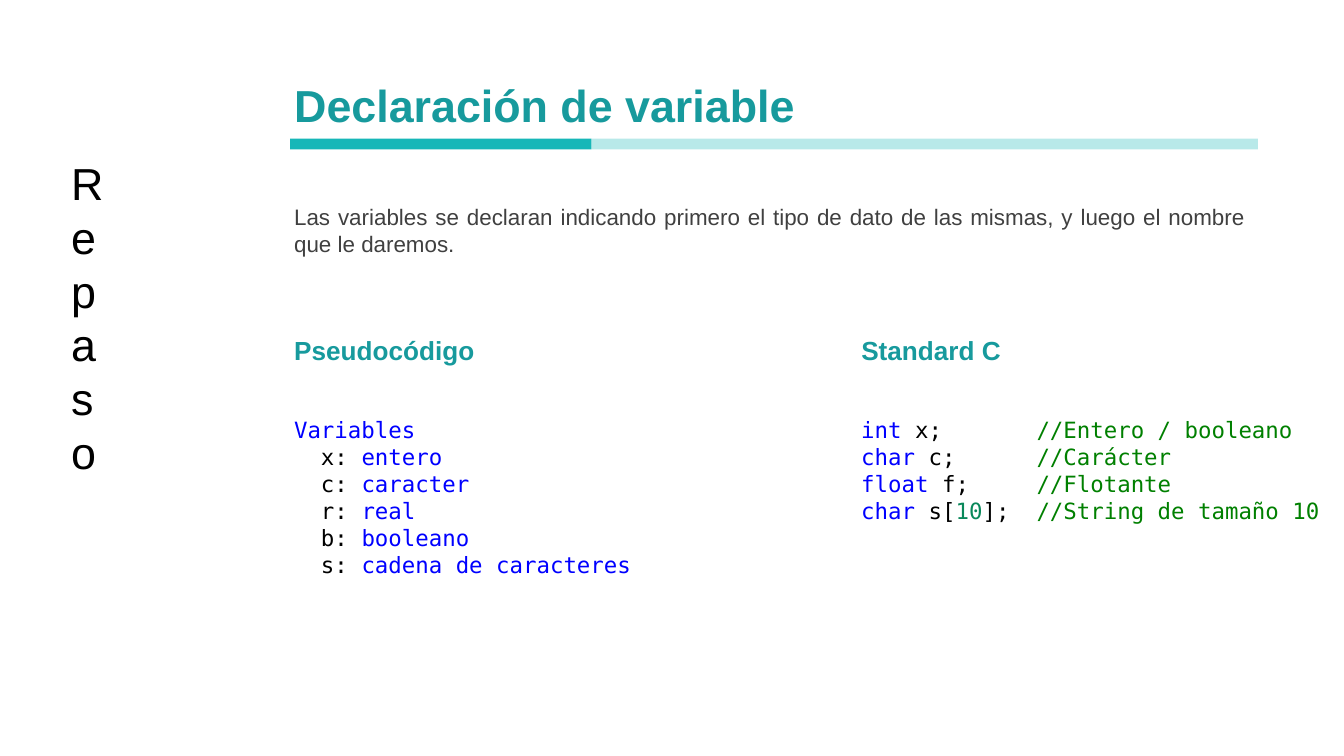
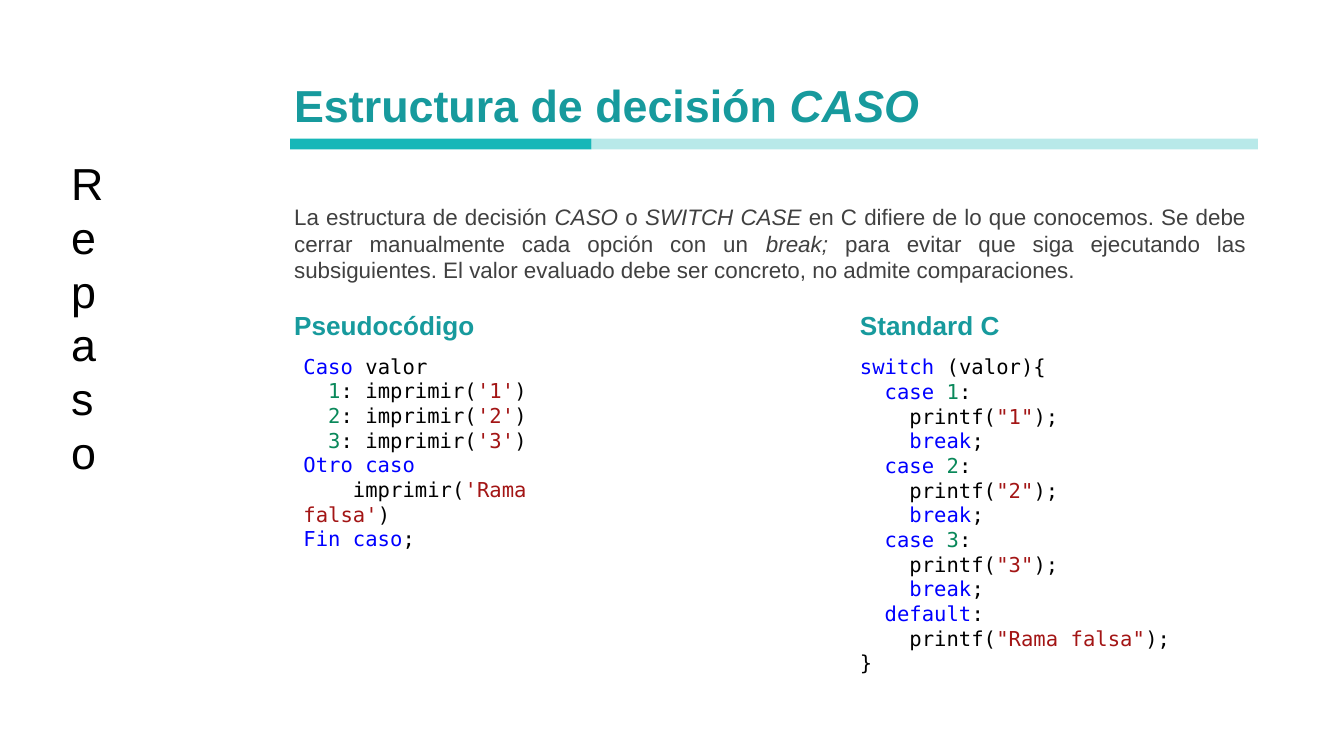
import pptx
import pptx.dml.color
import pptx.enum.shapes
import pptx.enum.text
import pptx.oxml
import pptx.oxml.ns
import pptx.util
from pptx.util import Pt

RGBColor = pptx.dml.color.RGBColor
TEAL = RGBColor(0x17, 0x9A, 0x9D)
BAND = RGBColor(0x16, 0xB7, 0xB8)
BODY = RGBColor(0x40, 0x40, 0x40)
BLACK = RGBColor(0, 0, 0)
WHITE = RGBColor(0xFF, 0xFF, 0xFF)
KEYWORD = RGBColor(0, 0, 0xFF)
COMMENT = RGBColor(0, 0x80, 0)
NUMBER = RGBColor(0x09, 0x88, 0x5A)
STRING = RGBColor(0xA3, 0x15, 0x15)

SANS = "Arial"
MONO = "DejaVu Sans Mono"
LEFT = 150.5
BAND_LEFT = 155.5
CONTENT_WIDTH = 524.2
COLUMN_WIDTH = 238.3


def italic(text):
    return text, {"italic": True}


def keyword(text):
    return text, {"color": KEYWORD}


def number(text):
    return text, {"color": NUMBER}


def string(text):
    return text, {"color": STRING}


def comment(text):
    return text, {"color": COMMENT}


def add_text(slide, lines, left, top, width, height, *, size, color=BLACK,
             font=SANS, bold=False, align=None, direction=None):
    """Each line is a list of spans: a plain string, or (string, format)."""
    box = slide.shapes.add_textbox(Pt(left), Pt(top), Pt(width), Pt(height))
    frame = box.text_frame
    frame.word_wrap = True
    frame.auto_size = pptx.enum.text.MSO_AUTO_SIZE.SHAPE_TO_FIT_TEXT
    if direction:
        frame._txBody.bodyPr.set("vert", direction)
    for index, spans in enumerate(lines):
        paragraph = frame.add_paragraph() if index else frame.paragraphs[0]
        paragraph.alignment = align
        for span in spans:
            text, style = (span, {}) if isinstance(span, str) else span
            run = paragraph.add_run()
            run.text = text
            run.font.name = font
            run.font.size = Pt(size)
            run.font.bold = bold
            run.font.italic = style.get("italic", False)
            run.font.color.rgb = style.get("color", color)


def add_band(slide, left, width, opacity=100):
    band = slide.shapes.add_shape(
        pptx.enum.shapes.MSO_SHAPE.RECTANGLE,
        Pt(left), Pt(74.2), Pt(width), Pt(5.8))
    band.shadow.inherit = False
    band.line.fill.background()
    band.fill.solid()
    band.fill.fore_color.rgb = BAND
    if opacity < 100:
        tint = band._element.spPr.find(".//" + pptx.oxml.ns.qn("a:srgbClr"))
        alpha = pptx.oxml.parse_xml(
            f'<a:alpha {pptx.oxml.ns.nsdecls("a")} val="{opacity * 1000}"/>')
        tint.append(alpha)


def add_review_slide(deck, title, intro, intro_height):
    """Start a slide with the parts that all slides share."""
    slide = deck.slides.add_slide(deck.slide_layouts[6])
    slide.background.fill.solid()
    slide.background.fill.fore_color.rgb = WHITE
    add_text(slide, [intro], LEFT, 105.1, CONTENT_WIDTH, intro_height,
             size=12, color=BODY, align=pptx.enum.text.PP_ALIGN.JUSTIFY)
    add_text(slide, [title], LEFT, 38.2, CONTENT_WIDTH, 36,
             size=24, color=TEAL, bold=True)
    add_band(slide, BAND_LEFT, 161.3)
    add_band(slide, BAND_LEFT + 161.3, 357.1, opacity=30)
    add_text(slide, [["Repaso"]], 31, 79.9, 46, 207.4,
             size=24, direction="wordArtVert")
    return slide


def add_column_headings(slide, top, right_column):
    for heading, left in (("Pseudocódigo", LEFT), ("Standard C", right_column)):
        add_text(slide, [[heading]], left, top, COLUMN_WIDTH, 24.5,
                 size=14, color=TEAL, bold=True)


def add_code(slide, lines, left, top, width, height, size):
    add_text(slide, lines, left, top, width, height, size=size, font=MONO)


def build_declaration(deck):
    slide = add_review_slide(
        deck, ["Declaración de variable"],
        ["Las variables se declaran indicando primero el tipo de dato de las "
         "mismas, y luego el nombre que le daremos."], 36)
    right_column = 454.3
    add_column_headings(slide, 175.7, right_column)

    variables = {"x": "entero", "c": "caracter", "r": "real",
                 "b": "booleano", "s": "cadena de caracteres"}
    pseudocode = [[keyword("Variables")]]
    pseudocode += [[f"  {name}: ", keyword(kind)]
                   for name, kind in variables.items()]
    add_code(slide, pseudocode, LEFT, 219.6, 221, 94.3, size=12)

    c_code = [
        [keyword("int "), "x;       ", comment("//Entero / booleano")],
        [keyword("char "), "c;      ", comment("//Carácter")],
        [keyword("float "), "f;     ", comment("//Flotante")],
        [keyword("char "), "s[", number("10"), "];  ",
         comment("//String de tamaño 10")],
    ]
    add_code(slide, c_code, right_column, 219.6, 266.4, 65.5, size=12)


def build_case(deck):
    slide = add_review_slide(
        deck, ["Estructura de decisión ", italic("CASO")],
        ["La estructura de decisión ", italic("CASO"), " o ",
         italic("SWITCH CASE"),
         " en C difiere de lo que conocemos. Se debe cerrar manualmente cada "
         "opción con un ", italic("break;"),
         " para evitar que siga ejecutando las subsiguientes. El valor "
         "evaluado debe ser concreto, no admite comparaciones."], 51)
    right_column = 453.6
    add_column_headings(slide, 162, right_column)

    pseudocode = [[keyword("Caso"), " valor"]]
    c_code = [[keyword("switch"), " (valor){"]]
    for option in "123":
        pseudocode.append([number(f"  {option}"), ": imprimir(",
                           string(f"'{option}'"), ")"])
        c_code += [
            [keyword("  case "), number(option), ":"],
            ["    printf(", string(f'"{option}"'), ");"],
            [keyword("    break"), ";"],
        ]
    pseudocode += [
        [keyword("Otro caso")],
        ["    imprimir(", string("'Rama falsa'"), ")"],
        [keyword("Fin caso"), ";"],
    ]
    c_code += [
        [keyword("  default"), ":"],
        ["    printf(", string('"Rama falsa"'), ");"],
        ["}"],
    ]
    add_code(slide, c_code, right_column, 186.3, 220.3, 180.7, size=11)
    add_code(slide, pseudocode, BAND_LEFT, 186, 180, 100.8, size=11)


def main():
    deck = pptx.Presentation()
    deck.slide_width, deck.slide_height = Pt(720), Pt(405)
    build_declaration(deck)
    build_case(deck)
    deck.save("out.pptx")


if __name__ == "__main__":
    main()
